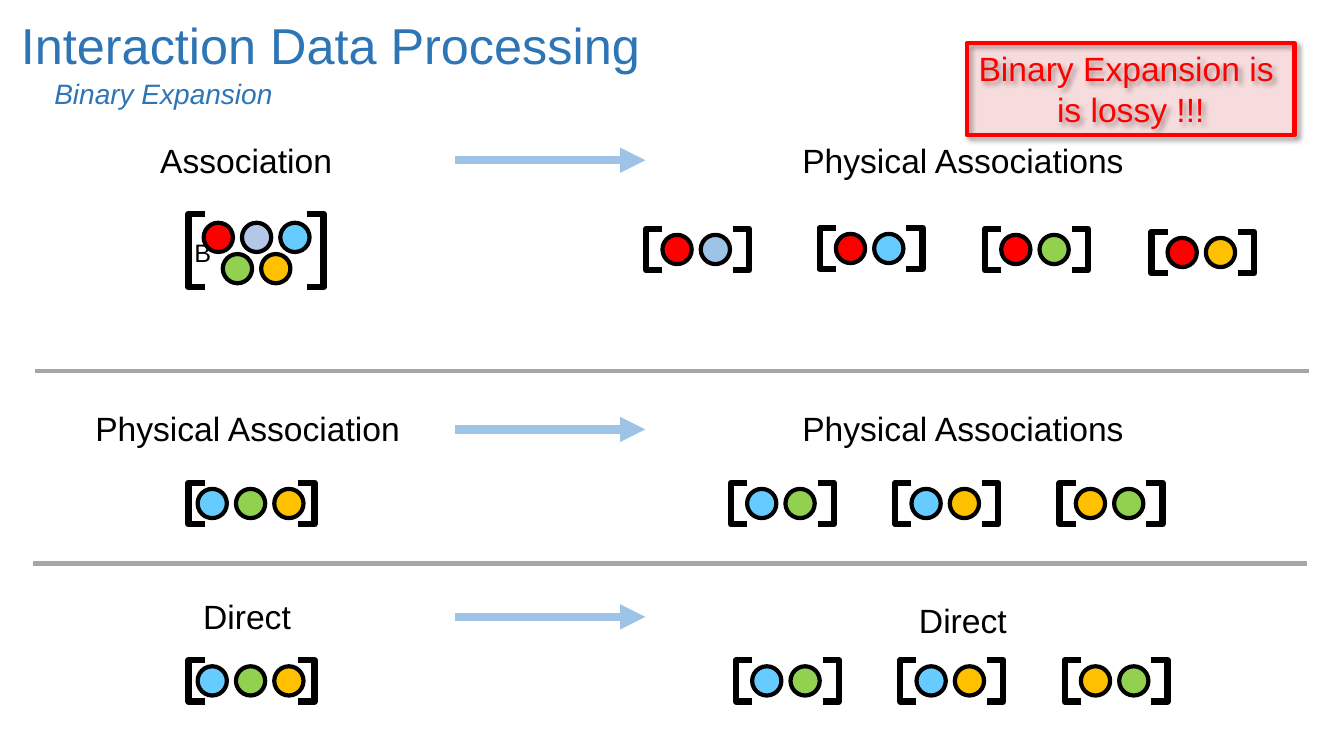
from lxml.etree import SubElement
from pptx import Presentation
from pptx.dml.color import RGBColor
from pptx.enum.shapes import MSO_CONNECTOR, MSO_SHAPE
from pptx.enum.text import MSO_ANCHOR, MSO_AUTO_SIZE, PP_ALIGN
from pptx.oxml.ns import qn
from pptx.util import Pt

PX = 9144
CIRCLE = 29
PITCH = 38
LIP = 16

BLACK = RGBColor(0x00, 0x00, 0x00)
RED = RGBColor(0xFF, 0x00, 0x00)
LAVENDER = RGBColor(0xB4, 0xC7, 0xE7)
PALE_BLUE = RGBColor(0x9D, 0xC3, 0xE6)
SKY = RGBColor(0x66, 0xCC, 0xFF)
GREEN = RGBColor(0x92, 0xD0, 0x50)
AMBER = RGBColor(0xFF, 0xC0, 0x00)
GREY = RGBColor(0xA6, 0xA6, 0xA6)
TITLE_BLUE = RGBColor(0x2E, 0x75, 0xB6)

TRIO = (SKY, GREEN, AMBER)
TRIO_PAIRS = ((SKY, GREEN), (SKY, AMBER), (AMBER, GREEN))


def emu(*lengths):
    return [length * PX for length in lengths]


def write_lines(shape, lines, size, colour, align, italic=False):
    frame = shape.text_frame
    frame.text = "\n".join(lines)
    frame.word_wrap = False
    for para in frame.paragraphs:
        para.alignment = align
        for span in para.runs:
            span.font.name = "Arial"
            span.font.size = Pt(size)
            span.font.italic = italic
            span.font.color.rgb = colour


def add_label(page, place, text, size=24, colour=BLACK, align=PP_ALIGN.CENTER, italic=False):
    box = page.shapes.add_textbox(*emu(*place))
    write_lines(box, [text], size, colour, align, italic)
    box.text_frame.auto_size = MSO_AUTO_SIZE.SHAPE_TO_FIT_TEXT
    return box


def add_subtitle(page, place, text):
    box = add_label(page, place, text, 20, TITLE_BLUE, PP_ALIGN.LEFT, True)
    box.text_frame.word_wrap = True
    properties = box.text_frame.paragraphs[0]._p.get_or_add_pPr()
    properties.set("marL", str(13 * PX))
    properties.set("indent", "0")


def add_circles(page, left, top, colours):
    for index, colour in enumerate(colours):
        circle = page.shapes.add_shape(
            MSO_SHAPE.OVAL, *emu(left + index * PITCH, top, CIRCLE, CIRCLE))
        circle.shadow.inherit = False
        circle.fill.solid()
        circle.fill.fore_color.rgb = colour
        circle.line.color.rgb = BLACK
        circle.line.width = Pt(3)


def add_brackets(page, left, top, width, height):
    right, bottom = left + width, top + height
    for back, lip in ((left, left + LIP), (right, right - LIP)):
        builder = page.shapes.build_freeform(lip, bottom, scale=PX)
        builder.add_line_segments([(back, bottom), (back, top), (lip, top)], close=False)
        bracket = builder.convert_to_shape()
        bracket.shadow.inherit = False
        bracket.fill.background()
        bracket.line.color.rgb = BLACK
        bracket.line.width = Pt(4.5)


def add_complex(page, left, top, colours):
    inset, width = (16, 102) if len(colours) == 2 else (9, 125)
    add_circles(page, left + inset, top + 6, colours)
    add_brackets(page, left, top, width, 41)


def add_association(page, left, top):
    add_circles(page, left + 15, top + 9, (RED, LAVENDER, SKY))
    add_circles(page, left + 34, top + 40, (GREEN, AMBER))
    add_brackets(page, left, top, 134, 73)


def add_line(page, left, right, y, colour, weight, arrow=False):
    line = page.shapes.add_connector(MSO_CONNECTOR.STRAIGHT, *emu(left, y, right, y))
    line.line.color.rgb = colour
    line.line.width = Pt(weight)
    if arrow:
        SubElement(line.line._get_or_add_ln(), qn("a:tailEnd"), type="triangle")
    SubElement(line._element.spPr, qn("a:effectLst"))


def add_warning(page, place, lines):
    box = page.shapes.add_shape(MSO_SHAPE.RECTANGLE, *emu(*place))
    box.fill.solid()
    box.fill.fore_color.rgb = RED
    box.line.color.rgb = RED
    box.line.width = Pt(3)
    properties = box._element.spPr
    fill_colour = properties.find(qn("a:solidFill")).find(qn("a:srgbClr"))
    SubElement(fill_colour, qn("a:alpha"), val="10000")
    box.shadow.inherit = False
    shadow = SubElement(
        properties.find(qn("a:effectLst")), qn("a:outerShdw"),
        blurRad=str(Pt(4)), dist=str(Pt(3)), dir="2700000", algn="tl", rotWithShape="0")
    shadow_colour = SubElement(shadow, qn("a:srgbClr"), val="000000")
    SubElement(shadow_colour, qn("a:alpha"), val="40000")
    write_lines(box, lines, 24, RED, PP_ALIGN.CENTER)
    box.text_frame.vertical_anchor = MSO_ANCHOR.TOP
    box.text_frame.auto_size = MSO_AUTO_SIZE.SHAPE_TO_FIT_TEXT


def main():
    deck = Presentation()
    deck.slide_width, deck.slide_height = emu(1333, 750)
    page = deck.slides.add_slide(deck.slide_layouts[6])

    add_label(page, (11, 9, 640, 71), "Interaction Data Processing",
              36, TITLE_BLUE, PP_ALIGN.LEFT)
    add_subtitle(page, (31, 71, 612, 44), "Binary Expansion")

    add_label(page, (149, 134, 193, 50), "Association", align=PP_ALIGN.LEFT)
    add_label(page, (784, 134, 342, 50), "Physical Associations")
    add_association(page, 187, 212)
    add_label(page, (183, 231, 34, 40), "B", 18, align=PP_ALIGN.LEFT)
    for left, top, partner in ((641, 227, PALE_BLUE), (813, 226, SKY),
                               (977, 227, GREEN), (1142, 230, AMBER)):
        add_complex(page, left, top, (RED, partner))

    add_label(page, (83, 400, 325, 50), "Physical Association")
    add_label(page, (784, 400, 342, 50), "Physical Associations")
    add_label(page, (191, 586, 108, 50), "Direct")
    add_label(page, (901, 590, 108, 50), "Direct")
    for top, first_pair in ((479, 725), (655, 730)):
        add_complex(page, 187, top, TRIO)
        for index, pair in enumerate(TRIO_PAIRS):
            add_complex(page, first_pair + index * 163, top, pair)

    for left, y in ((35, 368), (33, 559)):
        add_line(page, left, left + 1263, y, GREY, 3)
    for y in (159, 426, 612):
        add_line(page, 451, 640, y, PALE_BLUE, 6, arrow=True)

    add_warning(page, (959, 43, 325, 91), ["Binary Expansion is ", "is lossy !!!"])
    deck.save("out.pptx")


if __name__ == "__main__":
    main()
